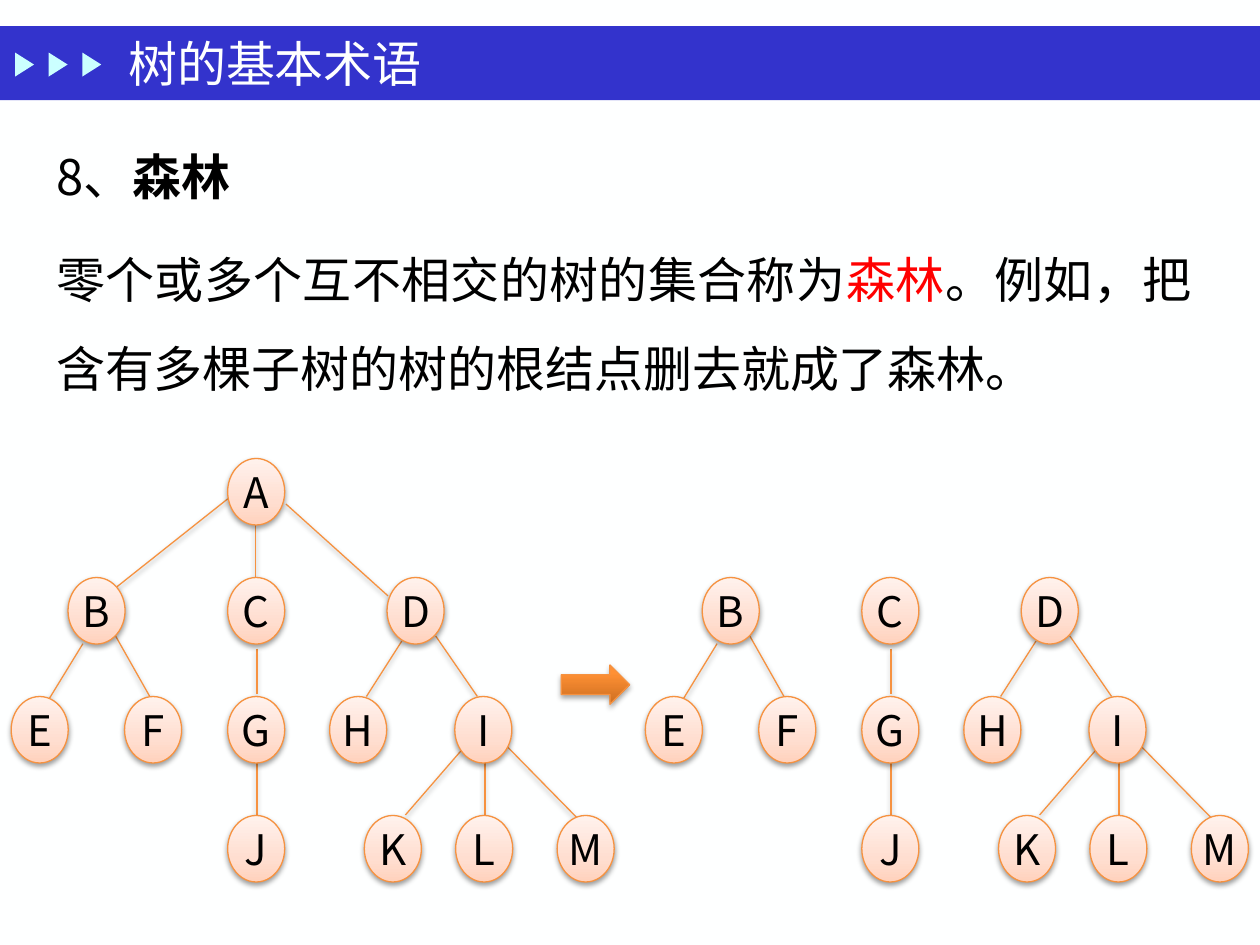
from pptx import Presentation
from pptx.dml.color import RGBColor
from pptx.enum.shapes import MSO_CONNECTOR as CONNECTOR, MSO_SHAPE as SHAPE
from pptx.enum.text import MSO_ANCHOR as ANCHOR, PP_ALIGN as ALIGN
from pptx.oxml import parse_xml
from pptx.oxml.ns import nsdecls, qn
from pptx.util import Pt

COLORS = {
    "background": "FEFFFF", "bar": "3333CC", "marker": "CBFFFF",
    "text": "000000", "accent": "FF0000", "line": "F69240", "shadow": "000000",
}
NODE_STOPS = [(0, "FFD2BD"), (35, "FFDED0"), (100, "FFF2ED")]
ARROW_STOPS = [(0, "CC6E20"), (80, "FF9034"), (100, "FF9136")]
FONT = "Noto Sans CJK SC"

NODE_WIDTH, NODE_HEIGHT, LEVEL_STEP = 32.6, 38, 68
# Each level of the tree: left edge of every node, from the tree's left side
LEVELS = [
    {"A": 123.7},
    {"B": 32.5, "C": 123.7, "D": 214.8},
    {"E": 0, "F": 64.8, "G": 123.7, "H": 182, "I": 253.5},
    {"J": 123.7, "K": 201.8, "L": 254, "M": 312},
]
# Branches: parent, child, start and end from the tree's top left
BRANCHES = [
    ("A", "B", (123.8, 23), (58.3, 75)),
    ("A", "C", (139.8, 37.5), (139.8, 67.7)),
    ("A", "D", (157, 26), (215.3, 78.5)),
    ("B", "E", (41, 105.8), (21.6, 137.5)),
    ("B", "F", (59.7, 101.5), (79.2, 136)),
    ("C", "G", (140.4, 108.7), (140.4, 134.6)),
    ("D", "H", (223.2, 104.4), (203, 136)),
    ("D", "I", (242.6, 101.5), (266.4, 136)),
    ("G", "J", (140.4, 173.5), (140.4, 203.7)),
    ("I", "K", (257.7, 166.3), (225.3, 203.7)),
    ("I", "L", (270.7, 173.5), (270.7, 203.7)),
    ("I", "M", (283, 164.2), (323.2, 205.2)),
]


def rgb(name):
    return RGBColor.from_string(COLORS[name])


def set_font(paragraph, size, color, latin=FONT):
    paragraph.font.size = Pt(size)
    paragraph.font.name = latin
    paragraph.font.color.rgb = rgb(color)
    properties = paragraph._p.get_or_add_pPr().get_or_add_defRPr()
    properties.append(parse_xml(f'<a:ea {nsdecls("a")} typeface="{FONT}"/>'))


def outline_with_shadow(shape, opacity=38):
    shape.line.color.rgb = rgb("line")
    shape.line.width = Pt(0.75)
    shape._element.spPr.append(parse_xml(
        f'<a:effectLst {nsdecls("a")}><a:outerShdw blurRad="{Pt(3.1)}" dist="{Pt(1.6)}"'
        f' dir="5400000" rotWithShape="0"><a:srgbClr val="{COLORS["shadow"]}">'
        f'<a:alpha val="{opacity * 1000}"/></a:srgbClr></a:outerShdw></a:effectLst>'))


def fill_gradient(shape, stops):
    shape.fill.gradient()
    shape.fill.gradient_angle = 90
    stop_list = shape._element.spPr.find(qn("a:gradFill")).find(qn("a:gsLst"))
    stop_list.clear()
    for position, color in stops:
        stop_list.append(parse_xml(
            f'<a:gs {nsdecls("a")} pos="{position * 1000}"><a:srgbClr val="{color}"/></a:gs>'))


def add_plain(slide, kind, left, top, width, height, color):
    shape = slide.shapes.add_shape(kind, Pt(left), Pt(top), Pt(width), Pt(height))
    shape.shadow.inherit = False
    shape.fill.solid()
    shape.fill.fore_color.rgb = rgb(color)
    shape.line.fill.background()
    return shape


def add_text(slide, left, top, width, height, runs):
    """Add a wrapped one-paragraph text box; return its frame, paragraph and runs."""
    box = slide.shapes.add_textbox(Pt(left), Pt(top), Pt(width), Pt(height))
    frame = box.text_frame
    frame.word_wrap = True
    paragraph = frame.paragraphs[0]
    parts = []
    for text in runs:
        run = paragraph.add_run()
        run.text = text
        parts.append(run)
    return frame, paragraph, parts


def add_title_bar(slide, left, top, width, height):
    add_plain(slide, SHAPE.RECTANGLE, left, top, width, height, "bar")
    for index in range(3):
        marker = add_plain(slide, SHAPE.ISOSCELES_TRIANGLE,
                           left + 7.2 + 19.2 * index, top + 16.5, 13.7, 10.8, "marker")
        marker.rotation = 90
    frame, paragraph, _ = add_text(slide, left + 66.2, top, 504, height, ["树的基本术语"])
    frame.vertical_anchor = ANCHOR.MIDDLE
    set_font(paragraph, 28, "background", "Times New Roman")


def add_definition(slide, left, top, width):
    # Heading
    _, heading, (_, term) = add_text(slide, left, top, width, 42, ["8、", "森林"])
    heading.line_spacing = 1.1
    set_font(heading, 28, "text")
    term.font.bold = True
    # Explanation
    _, body, (_, keyword, _) = add_text(slide, left, top + 45.4, width, 103, [
        "零个或多个互不相交的树的集合称为", "森林",
        "。例如，把含有多棵子树的树的根结点删去就成了森林。"])
    body.line_spacing = 1.5
    body.alignment = ALIGN.JUSTIFY
    set_font(body, 28, "text")
    keyword.font.color.rgb = rgb("accent")


def add_node(slide, left, top, label):
    node = slide.shapes.add_shape(SHAPE.OVAL, Pt(left), Pt(top), Pt(NODE_WIDTH), Pt(NODE_HEIGHT))
    fill_gradient(node, NODE_STOPS)
    outline_with_shadow(node)
    frame = node.text_frame
    frame.word_wrap = False
    frame.vertical_anchor = ANCHOR.MIDDLE
    paragraph = frame.paragraphs[0]
    paragraph.text = label
    paragraph.alignment = ALIGN.CENTER
    set_font(paragraph, 24, "text")


def add_tree(slide, left, top, removed=""):
    """Draw the tree without the removed nodes and their branches."""
    for parent, child, (x1, y1), (x2, y2) in BRANCHES:
        if parent in removed or child in removed:
            continue
        branch = slide.shapes.add_connector(
            CONNECTOR.STRAIGHT, Pt(left + x1), Pt(top + y1), Pt(left + x2), Pt(top + y2))
        outline_with_shadow(branch)
    for depth, level in enumerate(LEVELS):
        for label, x in level.items():
            if label not in removed:
                add_node(slide, left + x, top + LEVEL_STEP * depth, label)


def add_arrow(slide, left, top, width, height):
    arrow = slide.shapes.add_shape(SHAPE.RIGHT_ARROW, Pt(left), Pt(top), Pt(width), Pt(height))
    fill_gradient(arrow, ARROW_STOPS)
    outline_with_shadow(arrow, 35)


def main():
    presentation = Presentation()
    presentation.slide_width, presentation.slide_height = Pt(720), Pt(540)
    slide = presentation.slides.add_slide(presentation.slide_layouts[6])
    slide.background.fill.solid()
    slide.background.fill.fore_color.rgb = rgb("background")

    add_title_bar(slide, 0, 15, 720, 42.3)
    add_definition(slide, 25, 77, 663)
    add_tree(slide, 6.4, 262)
    add_arrow(slide, 320.8, 380, 39, 22.5)
    add_tree(slide, 368.8, 262, removed="A")
    presentation.save("out.pptx")


if __name__ == "__main__":
    main()
